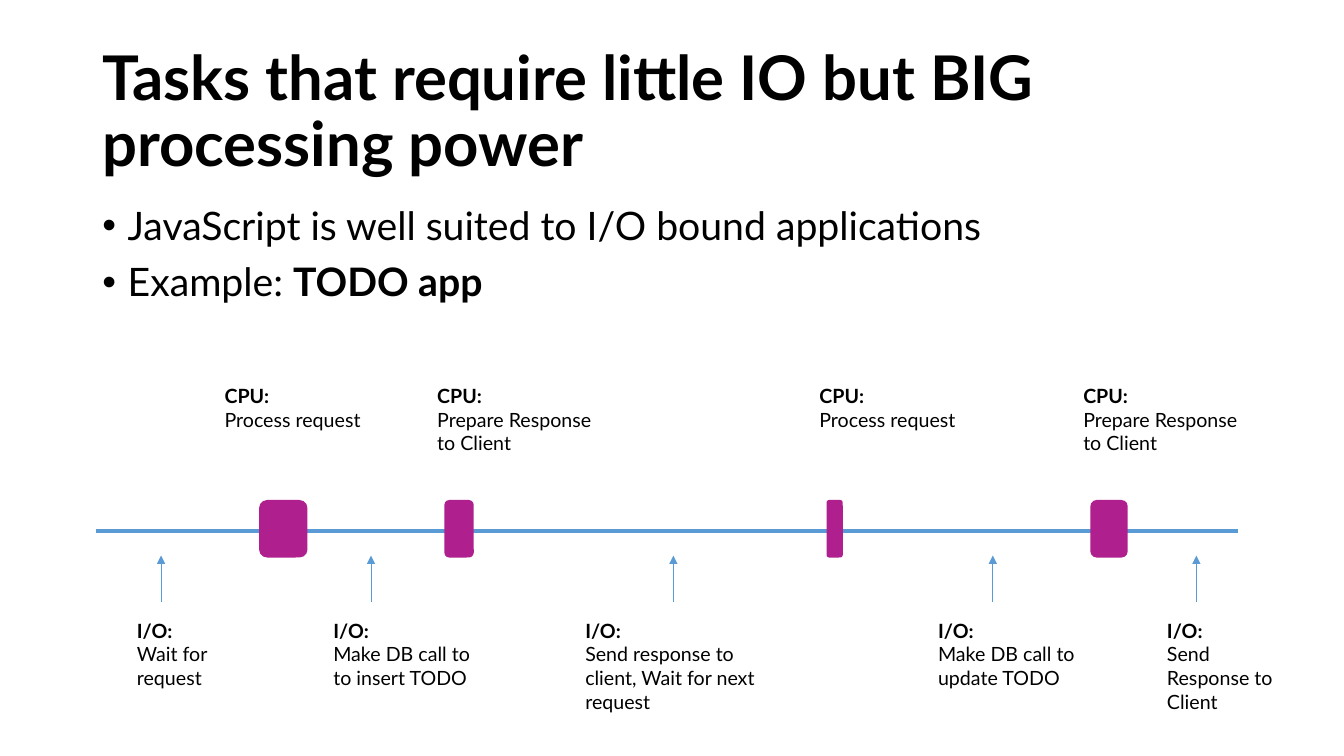
from lxml import etree
from pptx import Presentation
from pptx.dml.color import RGBColor
from pptx.enum import shapes, text
from pptx.oxml.ns import qn
from pptx.util import Cm, Pt

COLORS = {"text": "000000", "line": "5B9BD5", "cpu": "AF1F8E"}

prs = Presentation()
prs.slide_width, prs.slide_height = Cm(33.87), Cm(19.05)
s = prs.slides.add_slide(prs.slide_layouts[6])


def add_text(x, y, w, h, paragraphs, size):
    sp = s.shapes.add_textbox(Cm(x), Cm(y), Cm(w), Cm(h))
    tf = sp.text_frame
    tf.word_wrap = True
    for i, runs in enumerate(paragraphs):
        p = tf.paragraphs[0] if i == 0 else tf.add_paragraph()
        for content, bold in runs:
            r = p.add_run()
            r.text = content
            r.font.name = "Lato"
            r.font.size = Pt(size)
            r.font.bold = bold
            r.font.color.rgb = RGBColor.from_string(COLORS["text"])
    return tf


def add_line(x1, y1, x2, y2, width):
    c = s.shapes.add_connector(shapes.MSO_CONNECTOR.STRAIGHT, Cm(x1), Cm(y1), Cm(x2), Cm(y2))
    c.line.color.rgb = RGBColor.from_string(COLORS["line"])
    c.line.width = Pt(width)
    etree.SubElement(c._element.spPr, qn("a:effectLst"))
    return c


title = [[("Tasks that require little IO but BIG processing power", True)]]
tf = add_text(2.33, 1.02, 29.21, 3.68, title, 44)
tf.vertical_anchor = text.MSO_ANCHOR.MIDDLE
tf.paragraphs[0].line_spacing = 0.9

bullets = [
    [("JavaScript is well suited to I/O bound applications", False)],
    [("Example: ", False), ("TODO app", True)],
]
tf = add_text(2.33, 5.08, 29.21, 12.09, bullets, 28)
for i, p in enumerate(tf.paragraphs):
    pPr = p._p.get_or_add_pPr()
    pPr.set("marL", str(Cm(0.64)))
    pPr.set("indent", str(-Cm(0.64)))
    etree.SubElement(pPr, qn("a:buFont")).set("typeface", "Arial")
    etree.SubElement(pPr, qn("a:buChar")).set("char", "•")
    p.line_spacing = 0.9
    p.space_before = Pt(10 if i else 0)

add_line(2.41, 13.39, 31.19, 13.39, 3)

cpu_steps = [
    (6.53, 1.22, 5.41, 4.34, 1.45, "Process request"),
    (11.2, 0.74, 10.77, 4.83, 2.06, "Prepare Response to Client"),
    (20.83, 0.41, 20.4, 4.34, 1.45, "Process request"),
    (27.48, 0.94, 27.05, 4.5, 2.06, "Prepare Response to Client"),
]
for x, w, label_x, label_w, label_h, step in cpu_steps:
    sp = s.shapes.add_shape(shapes.MSO_SHAPE.ROUNDED_RECTANGLE, Cm(x), Cm(12.6), Cm(w), Cm(1.45))
    sp.shadow.inherit = False
    sp.fill.solid()
    sp.fill.fore_color.rgb = RGBColor.from_string(COLORS["cpu"])
    sp.line.fill.background()
    add_text(label_x, 9.55, label_w, label_h, [[("CPU:", True)], [(step, False)]], 14)

io_steps = [
    (4.06, 3.2, 3.23, 3.25, "Wait for request"),
    (9.35, 8.15, 4.27, 3.25, "Make DB call to to insert TODO"),
    (16.97, 14.5, 4.88, 3.84, "Send response to client, Wait for next request"),
    (25.02, 23.39, 4.09, 3.25, "Make DB call to update TODO"),
    (30.15, 29.16, 3.23, 3.84, "Send Response to Client"),
]
for arrow_x, label_x, label_w, label_h, step in io_steps:
    c = add_line(arrow_x, 15.16, arrow_x, 14, 0.5)
    etree.SubElement(c.line._get_or_add_ln(), qn("a:tailEnd")).set("type", "triangle")
    add_text(label_x, 15.47, label_w, label_h, [[("I/O:", True)], [(step, False)]], 14)

prs.save("out.pptx")
